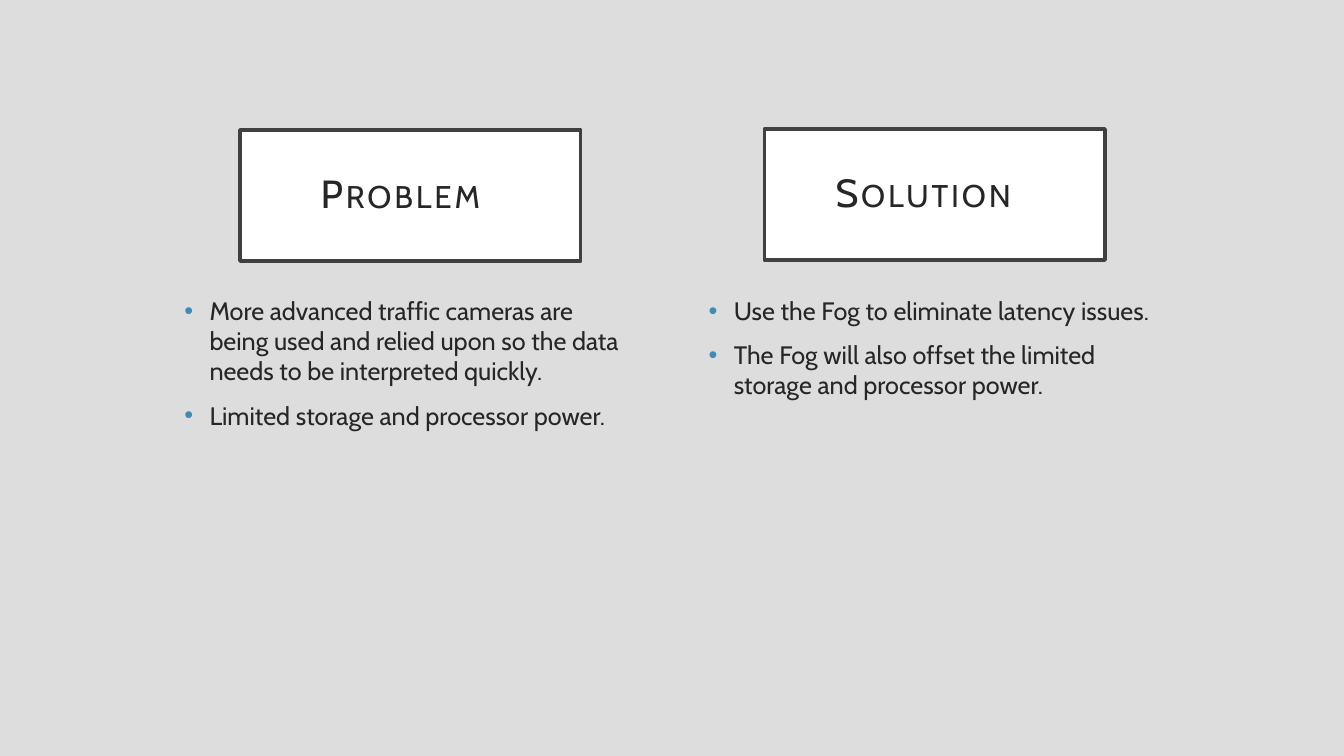
from pptx import Presentation, util as u
from pptx.dml.color import RGBColor
from pptx.enum import shapes, text
from pptx.oxml import parse_xml
from pptx.oxml.ns import nsdecls

COLORS = {"background": "DDDDDD", "box": "FFFFFF", "border": "404040",
          "text": "262626", "bullet": "418AB3"}
FONT = "Cabin"

# Grid: two equal columns, a heading row above a body row
COLUMN_LEFT, COLUMN_STEP, COLUMN_WIDTH = 1.73, 5.2, 4.67
HEADING_INDENT, HEADING_WIDTH, HEADING_HEIGHT = 0.65, 3.38, 1.3
BODY_TOP, BODY_HEIGHT = 2.88, 3.39

COLUMNS = [
    ("Problem", 1.29, [
        "More advanced traffic cameras are being used and relied upon "
        "so the data needs to be interpreted quickly.",
        "Limited storage and processor power."]),
    ("Solution", 1.28, [
        "Use the Fog to eliminate latency issues.",
        "The Fog will also offset the limited storage and processor power."]),
]


def color(name):
    return RGBColor.from_string(COLORS[name])


def add_run(paragraph, words, size):
    run = paragraph.add_run()
    run.text = words
    run.font.name = FONT
    run.font.size = u.Pt(size)
    run.font.color.rgb = color("text")
    return run


presentation = Presentation()
presentation.slide_width = u.Inches(13.33)
presentation.slide_height = u.Inches(7.5)
slide = presentation.slides.add_slide(presentation.slide_layouts[6])
slide.background.fill.solid()
slide.background.fill.fore_color.rgb = color("background")

for number, (heading, heading_top, points) in enumerate(COLUMNS):
    left = COLUMN_LEFT + number * COLUMN_STEP

    # Heading box
    box = slide.shapes.add_shape(
        shapes.MSO_SHAPE.RECTANGLE,
        u.Inches(left + HEADING_INDENT), u.Inches(heading_top),
        u.Inches(HEADING_WIDTH), u.Inches(HEADING_HEIGHT))
    box.shadow.inherit = False
    box.fill.solid()
    box.fill.fore_color.rgb = color("box")
    box.line.color.rgb = color("border")
    box.line.width = u.Pt(2.5)
    frame = box.text_frame
    frame.word_wrap = True
    frame.vertical_anchor = text.MSO_ANCHOR.MIDDLE
    frame.margin_left = frame.margin_right = u.Inches(0.2)
    frame.margin_top = frame.margin_bottom = u.Inches(0.2)
    paragraph = frame.paragraphs[0]
    paragraph.alignment = text.PP_ALIGN.CENTER
    paragraph.line_spacing = 0.9
    properties = add_run(paragraph, heading, 28).font._element
    properties.set("cap", "small")
    properties.set("spc", "200")

    # Bulleted points
    body = slide.shapes.add_textbox(
        u.Inches(left), u.Inches(BODY_TOP),
        u.Inches(COLUMN_WIDTH), u.Inches(BODY_HEIGHT))
    frame = body.text_frame
    frame.word_wrap = True
    for index, point in enumerate(points):
        paragraph = frame.add_paragraph() if index else frame.paragraphs[0]
        paragraph.space_before = u.Pt(10)
        add_run(paragraph, point, 18)
        properties = paragraph._p.get_or_add_pPr()
        properties.set("marL", str(u.Inches(0.25)))
        properties.set("indent", str(-u.Inches(0.25)))
        for bullet in (f'<a:buClr {nsdecls("a")}><a:srgbClr val="{COLORS["bullet"]}"/></a:buClr>',
                       f'<a:buFont {nsdecls("a")} typeface="Arial"/>',
                       f'<a:buChar {nsdecls("a")} char="•"/>'):
            properties.append(parse_xml(bullet))

presentation.save("out.pptx")
